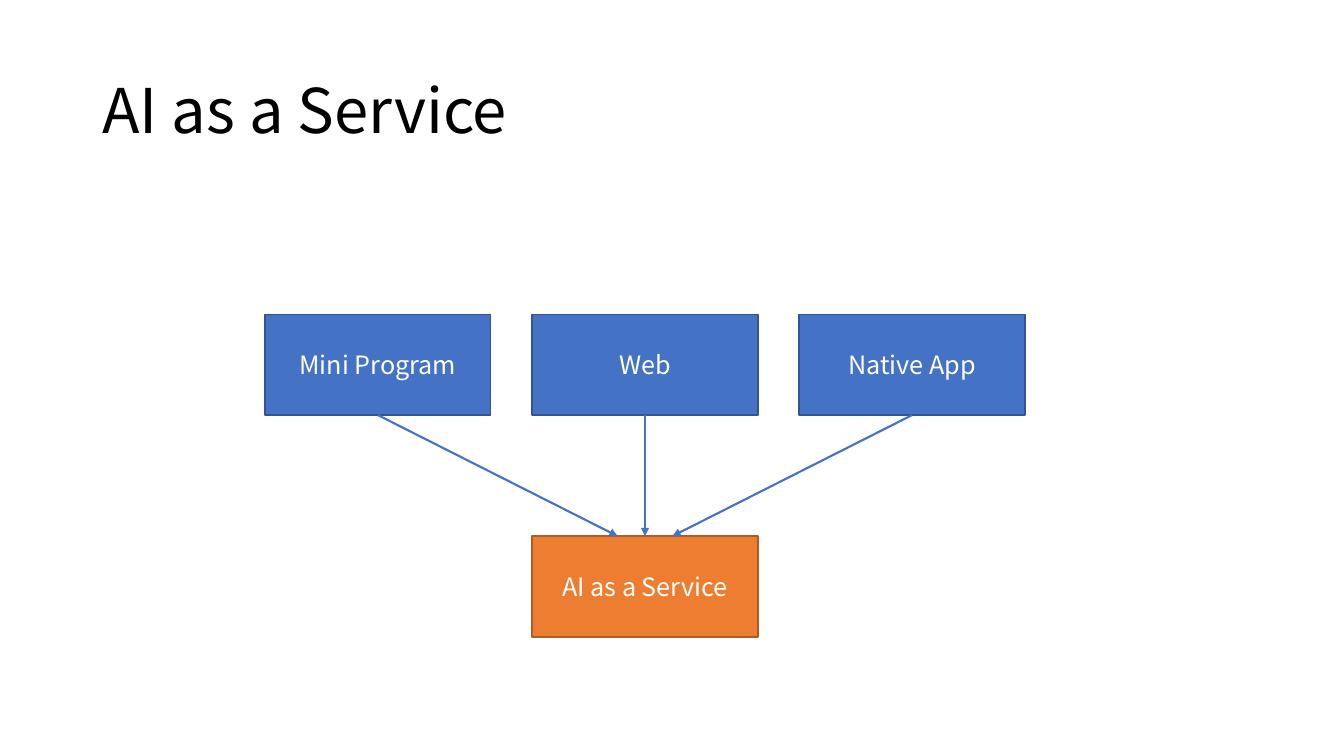
from lxml.etree import SubElement
from pptx import Presentation
from pptx.dml.color import RGBColor
from pptx.enum.shapes import MSO_CONNECTOR as Connector, MSO_SHAPE as Shape
from pptx.enum.text import MSO_ANCHOR as Anchor, PP_ALIGN as Align
from pptx.oxml.ns import qn
from pptx.util import Cm, Pt

FONT = "Noto Sans CJK SC"
BLACK = RGBColor(0x00, 0x00, 0x00)
WHITE = RGBColor(0xFF, 0xFF, 0xFF)
BLUE = RGBColor(0x44, 0x72, 0xC4)
DARK_BLUE = RGBColor(0x32, 0x54, 0x91)
ORANGE = RGBColor(0xED, 0x7D, 0x31)
DARK_ORANGE = RGBColor(0xAF, 0x5C, 0x24)

CLIENTS = ["Mini Program", "Web", "Native App"]
BOX_WIDTH = Cm(5.69)
BOX_HEIGHT = Cm(2.54)
ARROW_SPREAD = Cm(0.69)


def write_text(shape, text, size=18, color=WHITE, align=Align.CENTER, line_spacing=1.0):
    frame = shape.text_frame
    frame.word_wrap = True
    frame.vertical_anchor = Anchor.MIDDLE
    paragraph = frame.paragraphs[0]
    paragraph.alignment = align
    paragraph.line_spacing = line_spacing
    run = paragraph.add_run()
    run.text = text
    run.font.name = FONT
    run.font.size = Pt(size)
    run.font.color.rgb = color


def add_box(slide, text, left, top, fill, outline):
    shape = slide.shapes.add_shape(Shape.RECTANGLE, left, top, BOX_WIDTH, BOX_HEIGHT)
    shape.shadow.inherit = False
    shape.fill.solid()
    shape.fill.fore_color.rgb = fill
    shape.line.color.rgb = outline
    shape.line.width = Pt(1)
    write_text(shape, text)
    return shape


def add_arrow(slide, client, service, offset):
    end_x = service.left + service.width // 2 + offset
    arrow = slide.shapes.add_connector(
        Connector.STRAIGHT, client.left + client.width // 2,
        client.top + client.height, end_x, service.top)
    arrow.begin_connect(client, 2)
    if offset == 0:
        arrow.end_connect(service, 0)
    arrow.line.color.rgb = BLUE
    arrow.line.width = Pt(1.5)
    SubElement(arrow.line._get_or_add_ln(), qn("a:tailEnd"), type="triangle")
    SubElement(arrow._element.spPr, qn("a:effectLst"))


def add_title(slide, text, left, top, width, height):
    title = slide.shapes.title
    title.left, title.top, title.width, title.height = left, top, width, height
    write_text(title, text, size=44, color=BLACK, align=Align.LEFT, line_spacing=0.9)


def add_service_diagram(slide, left, top, width, height):
    pitch = (width - BOX_WIDTH) // (len(CLIENTS) - 1)
    middle = (len(CLIENTS) - 1) / 2
    service = add_box(slide, "AI as a Service", left + (width - BOX_WIDTH) // 2,
                      top + height - BOX_HEIGHT, ORANGE, DARK_ORANGE)
    clients = [add_box(slide, name, left + index * pitch, top, BLUE, DARK_BLUE)
               for index, name in enumerate(CLIENTS)]
    for index, client in enumerate(clients):
        add_arrow(slide, client, service, int((index - middle) * ARROW_SPREAD))


def main():
    presentation = Presentation()
    presentation.slide_width = Cm(33.87)
    presentation.slide_height = Cm(19.05)
    slide = presentation.slides.add_slide(presentation.slide_layouts[5])
    add_title(slide, "AI as a Service", Cm(2.33), Cm(1.01), Cm(29.21), Cm(3.68))
    add_service_diagram(slide, Cm(6.68), Cm(7.92), Cm(19.15), Cm(8.13))
    presentation.save("out.pptx")


if __name__ == "__main__":
    main()
